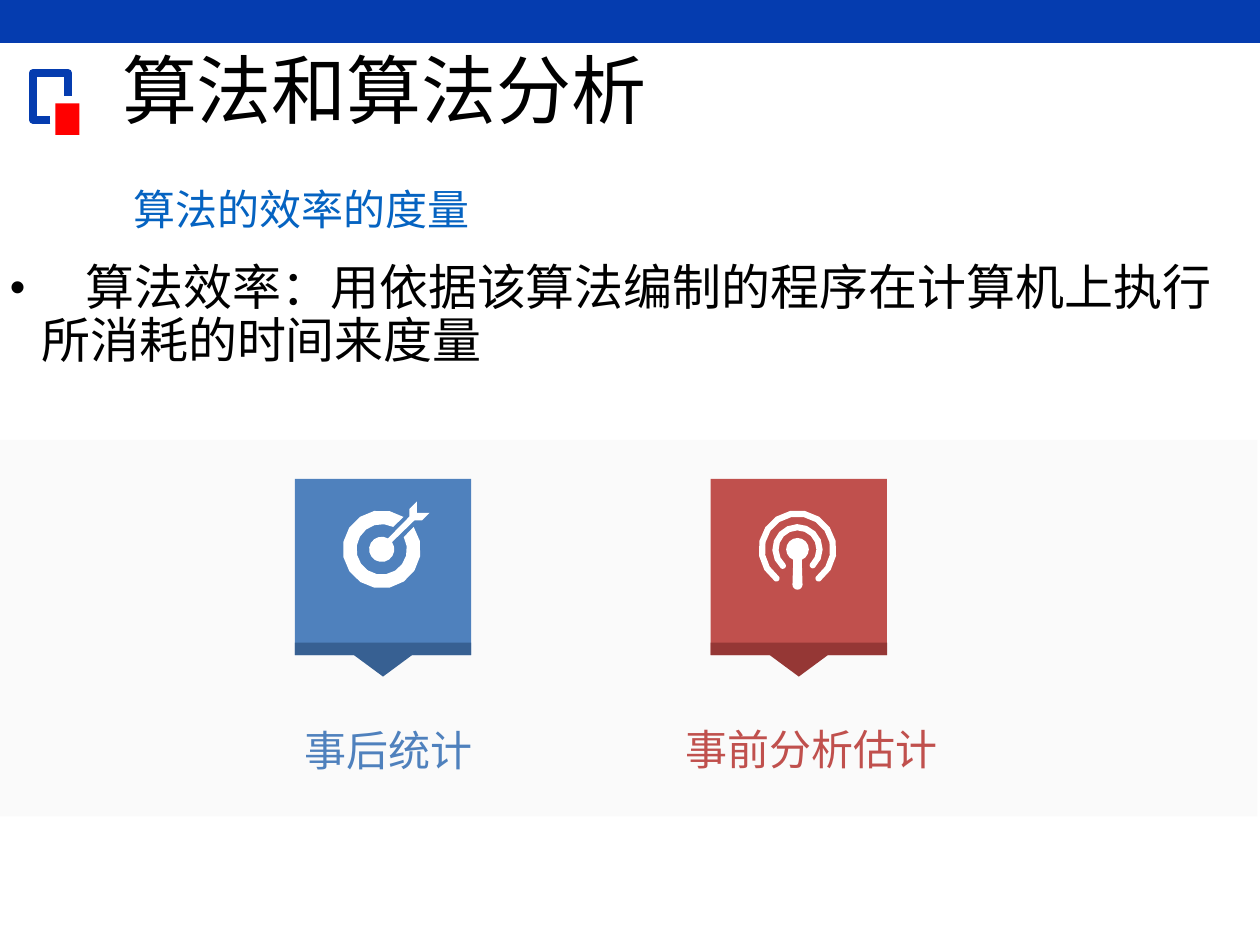
from math import cos, radians, sin

from lxml import etree
from pptx import Presentation
from pptx.dml.color import RGBColor
from pptx.enum.shapes import MSO_SHAPE
from pptx.enum.text import MSO_ANCHOR
from pptx.oxml.ns import qn
from pptx.util import Inches, Pt

RECT = MSO_SHAPE.RECTANGLE
TOP, MIDDLE = MSO_ANCHOR.TOP, MSO_ANCHOR.MIDDLE
NAVY = RGBColor(0x05, 0x3C, 0xAF)
RED = RGBColor(0xFF, 0x00, 0x00)
PALE = RGBColor(0xFA, 0xFA, 0xFA)
LINK = RGBColor(0x05, 0x63, 0xC1)
BLACK = RGBColor(0x00, 0x00, 0x00)
WHITE = RGBColor(0xFF, 0xFF, 0xFF)
BLUE = RGBColor(0x4F, 0x81, 0xBD)
DEEP_BLUE = RGBColor(0x37, 0x60, 0x92)
BRICK = RGBColor(0xC0, 0x50, 0x4D)
DEEP_BRICK = RGBColor(0x95, 0x37, 0x35)


def add_text(slide, text, left, top, width, height, size=24, color=BLACK,
             font="Calibri", spacing=1.3, anchor=TOP, bullet=False, lead=0):
    """Text box; lead is the width in points of a gap before the text."""
    box = slide.shapes.add_textbox(Inches(left), Inches(top),
                                   Inches(width), Inches(height))
    frame = box.text_frame
    frame.word_wrap = True
    frame.vertical_anchor = anchor
    para = frame.paragraphs[0]
    para.line_spacing = spacing
    if bullet:
        props = para._p.get_or_add_pPr()
        props.set("marL", str(Inches(0.25)))
        props.set("indent", str(-Inches(0.25)))
        etree.SubElement(props, qn("a:buFont"), typeface="Arial")
        etree.SubElement(props, qn("a:buChar"), char="•")
    parts = [("　", lead)] if lead else []
    for part, points in parts + [(text, size)]:
        run = para.add_run()
        run.text = part
        run.font.name = font
        run.font.size = Pt(points)
        run.font.color.rgb = color


def paint(shape, color):
    shape.shadow.inherit = False
    shape.fill.solid()
    shape.fill.fore_color.rgb = color
    shape.line.fill.background()


def add_rect(slide, left, top, width, height, color):
    paint(slide.shapes.add_shape(RECT, Inches(left), Inches(top),
                                 Inches(width), Inches(height)), color)


def add_path(slide, left, top, *loops, close=True):
    """Outline through loops of points, measured from (left, top)."""
    loops = [[(Inches(x), Inches(y)) for x, y in loop] for loop in loops]
    path = slide.shapes.build_freeform(*loops[0][0])
    for i, loop in enumerate(loops):
        if i:
            path.move_to(*loop[0])
        path.add_line_segments(loop[1:], close=close)
    return path.convert_to_shape(Inches(left), Inches(top))


def arc(radius, start, end, x=0, y=0):
    """Points on an arc; degrees run counterclockwise from the right."""
    steps = max(3, round(abs(end - start) / 22))
    turns = [radians(start + (end - start) * i / steps)
             for i in range(steps + 1)]
    return [(x + radius * cos(t), y - radius * sin(t)) for t in turns]


def round_ring(outer, inner, start, end):
    """Open ring with rounded ends."""
    mid, half = (outer + inner) / 2, (outer - inner) / 2
    tail, *_, head = arc(mid, start, end)
    return (arc(outer, start, end) + arc(half, end, end + 180, *head)[1:-1]
            + arc(inner, end, start)
            + arc(half, start + 180, start + 360, *tail)[1:-1])


def add_target(slide, x, y):
    ring = arc(0.31, 56, 395) + arc(0.2, 389, 63)
    dart = arc(0.1, 60, 395) + [
        (0.26, -0.23), (0.32, -0.23), (0.38, -0.29), (0.28, -0.29),
        (0.28, -0.38), (0.22, -0.32), (0.22, -0.26)]
    paint(add_path(slide, x, y, ring, dart), WHITE)


def add_signal(slide, x, y):
    mast = arc(0.09, -68, 248) + arc(0.04, 180, 360, y=0.28)
    paint(add_path(slide, x, y, round_ring(0.31, 0.26, -54, 234),
                   round_ring(0.2, 0.15, -46, 228), mast), WHITE)


def add_card(slide, left, top, color, deep, icon):
    side, mid = 1.4, 0.7
    add_rect(slide, left, top, side, side, color)
    flap = [(0, 0), (side, 0), (side, 0.1), (mid + 0.23, 0.1),
            (mid, 0.27), (mid - 0.23, 0.1), (0, 0.1)]
    paint(add_path(slide, left, top + side - 0.1, flap), deep)
    icon(slide, left + mid - 0.01, top + 0.56)


def add_header(slide, left, top):
    add_rect(slide, left, top, 10, 0.34, NAVY)
    hook = add_path(slide, left + 0.26, top + 0.58,
                    [(0.14, 0.37), (0, 0.37), (0, 0), (0.28, 0),
                     (0.28, 0.18)], close=False)
    hook.shadow.inherit = False
    hook.fill.background()
    hook.line.color.rgb = NAVY
    hook.line.width = Pt(4.5)
    add_rect(slide, left + 0.44, top + 0.82, 0.19, 0.25, RED)
    add_text(slide, "算法和算法分析", left + 0.87, top + 0.37, 8.59, 0.75,
             size=42.9, font="Noto Sans CJK SC", spacing=0.9, anchor=MIDDLE)


def add_body(slide, left, top):
    add_text(slide, "算法的效率的度量", left + 0.98, top, 4.87, 0.6,
             color=LINK, anchor=MIDDLE)
    add_text(slide, "算法效率：用依据该算法编制的程序在计算机上执行所消耗的时间来度量",
             left, top + 0.74, 10, 1.19, size=28, spacing=0.9,
             bullet=True, lead=25.3)


def add_methods(slide, left, top):
    add_rect(slide, left, top, 10, 2.99, PALE)
    add_card(slide, left + 2.36, top + 0.31, BLUE, DEEP_BLUE, add_target)
    add_card(slide, left + 5.66, top + 0.31, BRICK, DEEP_BRICK, add_signal)
    add_text(slide, "事后统计", left + 2.34, top + 2.09, 1.87, 0.73,
             color=BLUE)
    add_text(slide, "事前分析估计", left + 5.36, top + 2.08, 2.34, 0.73,
             color=BRICK)


def main():
    deck = Presentation()
    deck.slide_width, deck.slide_height = Inches(10), Inches(7.5)
    slide = deck.slides.add_slide(deck.slide_layouts[6])
    add_header(slide, 0, 0)
    add_methods(slide, -0.02, 3.49)
    add_body(slide, -0.02, 1.3)
    deck.save("out.pptx")


if __name__ == "__main__":
    main()
